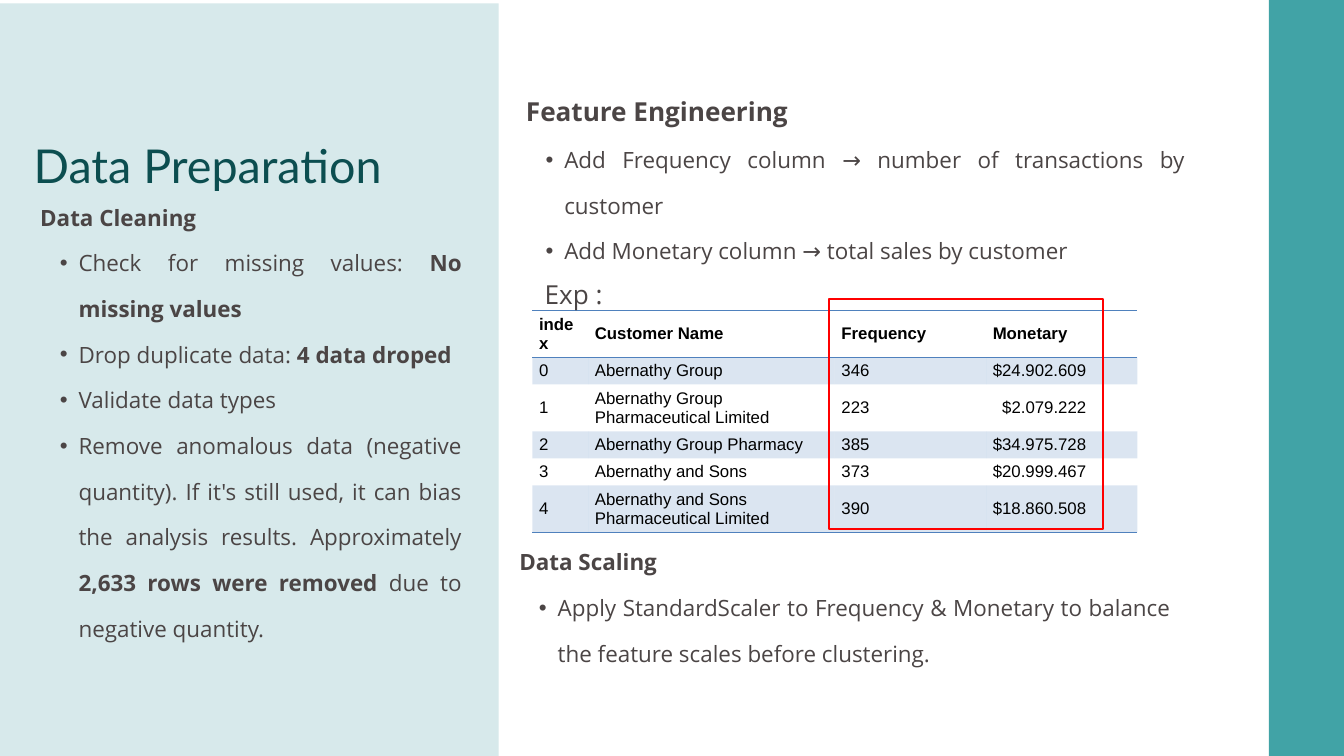
from dataclasses import dataclass

from lxml import etree
from pptx import Presentation
from pptx import util as u
from pptx.dml.color import RGBColor
from pptx.enum import shapes, text
from pptx.oxml import ns

NO_GRID_STYLE = "{2D5ABB26-0587-4C30-8999-92F81FD0307C}"


@dataclass(frozen=True)
class Theme:
    panel: str = "D7E9EB"
    band: str = "41A3A6"
    title: str = "0C4E50"
    body: str = "4B4545"
    cell: str = "000000"
    rule: str = "4F81BD"
    highlight: str = "FF0000"
    title_size: int = 50
    lead_size: int = 28
    body_size: int = 24
    cell_size: int = 18
    title_font: str = "Lato"
    body_font: str = "Open Sans"
    cell_font: str = "Arial"


def apply(obj, values):
    for name, value in values.items():
        setattr(obj, name, value)


def sub(parent, tag, **attrs):
    return etree.SubElement(parent, ns.qn(tag), attrs)


class Deck:
    def __init__(self, prs, theme):
        self.theme = theme
        self.s = prs.slides.add_slide(prs.slide_layouts[5])

    def place(self, sp, box):
        apply(sp, dict(zip(("left", "top", "width", "height"), map(u.Cm, box))))

    def font(self, r, name, size, color, bold=False):
        apply(r.font, {"name": name, "size": u.Pt(size), "bold": bold})
        r.font.color.rgb = RGBColor.from_string(color)

    def frame(self, tf, inset=(0, 0)):
        x, y = map(u.Cm, inset)
        apply(tf, {"word_wrap": True, "auto_size": text.MSO_AUTO_SIZE.NONE,
                   "vertical_anchor": text.MSO_ANCHOR.TOP,
                   "margin_left": x, "margin_right": x,
                   "margin_top": y, "margin_bottom": y})

    def rect(self, box, fill=None, line=None):
        sp = self.s.shapes.add_shape(shapes.MSO_SHAPE.RECTANGLE, *map(u.Cm, box))
        sp.shadow.inherit = False
        if fill:
            sp.fill.solid()
            sp.fill.fore_color.rgb = RGBColor.from_string(fill)
        else:
            sp.fill.background()
        if line:
            sp.line.color.rgb = RGBColor.from_string(line)
            sp.line.width = u.Pt(2)
        else:
            sp.line.fill.background()

    def title(self, words, box):
        t = self.theme
        sp = self.s.shapes.title
        sp._element.getparent().append(sp._element)
        self.place(sp, box)
        self.frame(sp.text_frame)
        p = sp.text_frame.paragraphs[0]
        apply(p, {"alignment": text.PP_ALIGN.LEFT, "line_spacing": 1.4})
        r = p.add_run()
        r.text = words
        self.font(r, t.title_font, t.title_size, t.title)

    def paragraph(self, p, words, size, spacing, indent=0, bullet=False):
        t = self.theme
        apply(p, {"alignment": text.PP_ALIGN.JUSTIFY, "line_spacing": spacing,
                  "space_before": u.Pt(0)})
        if indent:
            p.level = 1
            pPr = p._p.get_or_add_pPr()
            pPr.set("marL", str(u.Cm(indent)))
            pPr.set("indent", str(u.Cm(-0.71 if bullet else 0)))
            if bullet:
                sub(sub(pPr, "a:buClr"), "a:srgbClr", val=t.body)
                sub(pPr, "a:buFont", typeface=t.cell_font)
                sub(pPr, "a:buChar", char="•")
        for i, part in enumerate(words.split("**")):
            if part:
                r = p.add_run()
                r.text = part
                self.font(r, t.body_font, size, t.body, bold=i % 2 == 1)

    def section(self, box, heading, bullets, inset=(0.25, 0.13), lead=False, closing=None):
        t = self.theme
        tf = self.s.shapes.add_textbox(*map(u.Cm, box)).text_frame
        self.frame(tf, inset)
        lead_style = (t.lead_size, 1.46) if lead else (t.body_size, 1.7)
        self.paragraph(tf.paragraphs[0], f"**{heading}**", *lead_style)
        for words in bullets:
            self.paragraph(tf.add_paragraph(), words, t.body_size, 1.7, 1.45, True)
        if closing:
            self.paragraph(tf.add_paragraph(), closing, *lead_style, 0.71)

    def border(self, cell, side):
        ln = sub(cell._tc.get_or_add_tcPr(), f"a:{side}", w=str(u.Pt(1)))
        sub(sub(ln, "a:solidFill"), "a:srgbClr", val=self.theme.rule)

    def table(self, left, top, widths, heights, rows):
        t = self.theme
        box = (left, top, sum(widths), sum(heights))
        tbl = self.s.shapes.add_table(len(rows), len(widths), *map(u.Cm, box)).table
        apply(tbl, {"first_row": False, "horz_banding": False})
        tbl._tbl.tblPr[0].text = NO_GRID_STYLE
        for col, width in zip(tbl.columns, widths):
            col.width = u.Cm(width)
        for i, (row, height, values) in enumerate(zip(tbl.rows, heights, rows)):
            row.height = u.Cm(height)
            for cell, value in zip(row.cells, values):
                if i == 0:
                    self.border(cell, "lnT")
                if i in (0, len(rows) - 1):
                    self.border(cell, "lnB")
                if i % 2:
                    cell.fill.solid()
                    cell.fill.fore_color.rgb = RGBColor.from_string(t.rule)
                    color = cell._tc.tcPr.find(ns.qn("a:solidFill"))[0]
                    sub(color, "a:alpha", val="20000")
                else:
                    cell.fill.background()
                cell.vertical_anchor = text.MSO_ANCHOR.MIDDLE
                r = cell.text_frame.paragraphs[0].add_run()
                r.text = value
                self.font(r, t.cell_font, t.cell_size, t.cell, bold=i == 0)
        return tbl


def main():
    prs = Presentation()
    apply(prs, {"slide_width": u.Cm(50.8), "slide_height": u.Cm(28.58)})
    theme = Theme()
    deck = Deck(prs, theme)

    deck.rect((0, 0.13, 18.85, 28.45), fill=theme.panel)
    deck.rect((47.96, 0, 2.84, 28.58), fill=theme.band)
    deck.title("Data Preparation", (1.27, 4.34, 19.86, 2.39))
    deck.section((19.63, 20.02, 24.61, 4.39), "Data Scaling", [
        "Apply StandardScaler to Frequency & Monetary to balance "
        "the feature scales before clustering.",
    ], inset=(0, 0))

    one_line, two_lines = 1.02, 1.78
    customers = deck.table(
        20.12, 11.73, (2.11, 9.32, 5.72, 5.72),
        (two_lines, one_line, two_lines, one_line, one_line, two_lines),
        [
            ("index", "Customer Name", "Frequency", "Monetary"),
            ("0", "Abernathy Group", "346", "$24.902.609"),
            ("1", "Abernathy Group Pharmaceutical Limited", "223", "$2.079.222"),
            ("2", "Abernathy Group Pharmacy", "385", "$34.975.728"),
            ("3", "Abernathy and Sons", "373", "$20.999.467"),
            ("4", "Abernathy and Sons Pharmaceutical Limited", "390", "$18.860.508"),
        ])
    customers.cell(2, 3).margin_left = u.Cm(0.61)

    deck.section((1.27, 6.86, 16.43, 14.86), "Data Cleaning", [
        "Check for missing values: **No missing values**",
        "Drop duplicate data:** 4 data droped**",
        "Validate data types",
        "Remove anomalous data (negative quantity). If it's still used, it can bias "
        "the analysis results. Approximately **2,633 rows were removed** "
        "due to negative quantity.",
    ])
    deck.section((19.63, 2.95, 25.4, 7.57), "Feature Engineering", [
        "Add Frequency column → number of transactions by customer",
        "Add Monetary column → total sales by customer",
    ], lead=True, closing="Exp :")
    deck.rect((31.32, 11.3, 10.36, 8.71), line=theme.highlight)

    prs.save("out.pptx")


if __name__ == "__main__":
    main()
